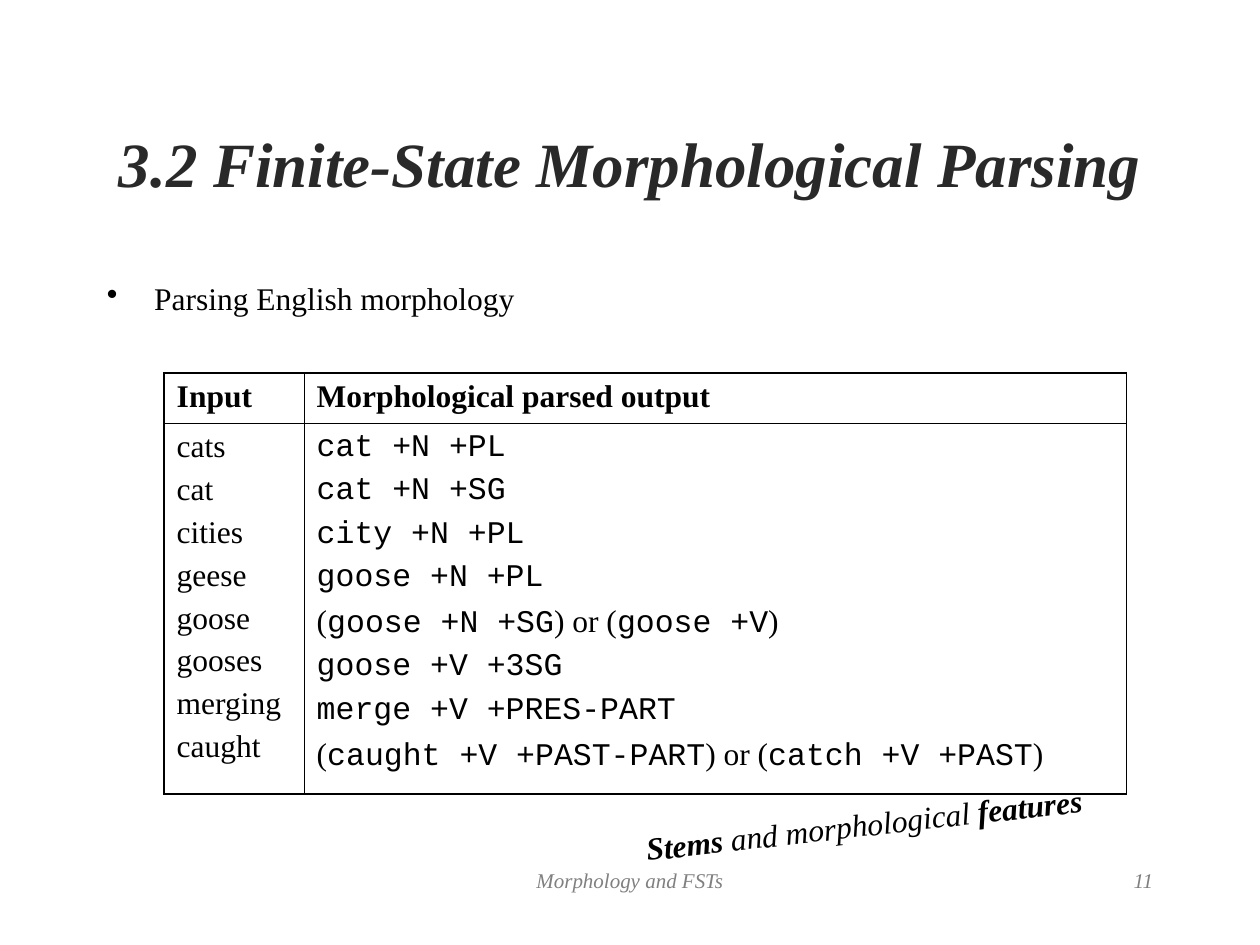
from lxml import etree
from pptx import Presentation
from pptx.enum.text import MSO_ANCHOR, PP_ALIGN
from pptx.dml.color import RGBColor
from pptx.oxml.ns import qn
from pptx.util import Pt

# Content
TITLE = "3.2 Finite-State Morphological Parsing"
POINT = "Parsing English morphology"
HEADS = ["Input", "Morphological parsed output"]
# Bars switch between serif and mono, starting with serif
PARSES = [
    ("cats", "|cat +N +PL"),
    ("cat", "|cat +N +SG"),
    ("cities", "|city +N +PL"),
    ("geese", "|goose +N +PL"),
    ("goose", "(|goose +N +SG|) or (|goose +V|)"),
    ("gooses", "|goose +V +3SG"),
    ("merging", "|merge +V +PRES-PART"),
    ("caught", "(|caught +V +PAST-PART|) or (|catch +V +PAST|)"),
]
NOTE = [("Stems", True), (" and morphological ", False), ("features", True)]
FOOTER, NUMBER = "Morphology and FSTs", "11"

SERIF, MONO = "Times New Roman", "Courier New"
COLORS = {"ink": "000000", "title": "292929", "foot": "808080"}
COLS, ROWS = [80, 470], [28.8, 211.7]
THICK, THIN = 1.08, 0.45
GAP = Pt(4.5)


def style(font, size=18, color="ink", bold=False, italic=False, name=SERIF):
    font.name, font.size = name, Pt(size)
    font.bold, font.italic = bold, italic
    font.color.rgb = RGBColor.from_string(COLORS[color])


def add_box(left, top, width, height, wrap=True):
    box = slide.shapes.add_textbox(Pt(left), Pt(top), Pt(width), Pt(height))
    box.text_frame.word_wrap = wrap
    return box, box.text_frame.paragraphs[0]


def fill_cell(cell, lines, bold=False):
    frame = cell.text_frame
    for i, line in enumerate(lines):
        para = frame.add_paragraph() if i else frame.paragraphs[0]
        if i:
            para.space_before = GAP
        for j, part in enumerate(line.split("|")):
            if part:
                run = para.add_run()
                run.text = part
                style(run.font, bold=bold, name=MONO if j % 2 else SERIF)


def set_edges(cell, row, col):
    cell.margin_left = cell.margin_right = Pt(7.2)
    cell.margin_top = cell.margin_bottom = Pt(3.6)
    cell.fill.background()
    props = cell._tc.get_or_add_tcPr()
    outer = {"L": col == 0, "R": col == 1, "T": row == 0, "B": row == 1}
    for i, (side, edge) in enumerate(outer.items()):
        line = etree.Element(qn("a:ln" + side), w=str(Pt(THICK if edge else THIN)))
        paint = etree.SubElement(line, qn("a:solidFill"))
        etree.SubElement(paint, qn("a:srgbClr"), val=COLORS["ink"])
        props.insert(i, line)


deck = Presentation()
deck.slide_width, deck.slide_height = Pt(720), Pt(540)
slide = deck.slides.add_slide(deck.slide_layouts[5])

# Title
title = slide.shapes.title
title.left, title.top, title.width, title.height = Pt(54), Pt(48), Pt(612), Pt(90)
title.text_frame.text = TITLE
title.text_frame.vertical_anchor = MSO_ANCHOR.MIDDLE
head = title.text_frame.paragraphs[0]
head.alignment = PP_ALIGN.CENTER
style(head.font, 36, "title", True, True)

# Bullet point
_, point = add_box(54, 156, 300, 324)
point.text = POINT
props = point._p.get_or_add_pPr()
props.set("marL", str(Pt(27)))
props.set("indent", str(-Pt(27)))
etree.SubElement(props, qn("a:buChar"), char="•")
style(point.font)

# Parse table
table = slide.shapes.add_table(
    2, 2, Pt(93.8), Pt(213.2), Pt(sum(COLS)), Pt(sum(ROWS))).table
table.first_row = table.horz_banding = False
for i, (width, height) in enumerate(zip(COLS, ROWS)):
    table.columns[i].width = Pt(width)
    table.rows[i].height = Pt(height)
for col, words in enumerate(zip(*PARSES)):
    for row, lines in enumerate([[HEADS[col]], words]):
        cell = table.cell(row, col)
        fill_cell(cell, lines, bold=row == 0)
        set_edges(cell, row, col)

# Tilted note
box, note = add_box(361.4, 456.5, 265, 28.8, wrap=False)
box.rotation = -6.4
for words, bold in NOTE:
    run = note.add_run()
    run.text = words
    style(run.font, bold=bold, italic=True)

# Footer and slide number
for words, left, width, align in [
    (FOOTER, 246, 228, PP_ALIGN.CENTER),
    (NUMBER, 516, 150, PP_ALIGN.RIGHT),
]:
    _, para = add_box(left, 492, width, 36)
    para.text, para.alignment = words, align
    style(para.font, 12, "foot", italic=True)

deck.save("out.pptx")
